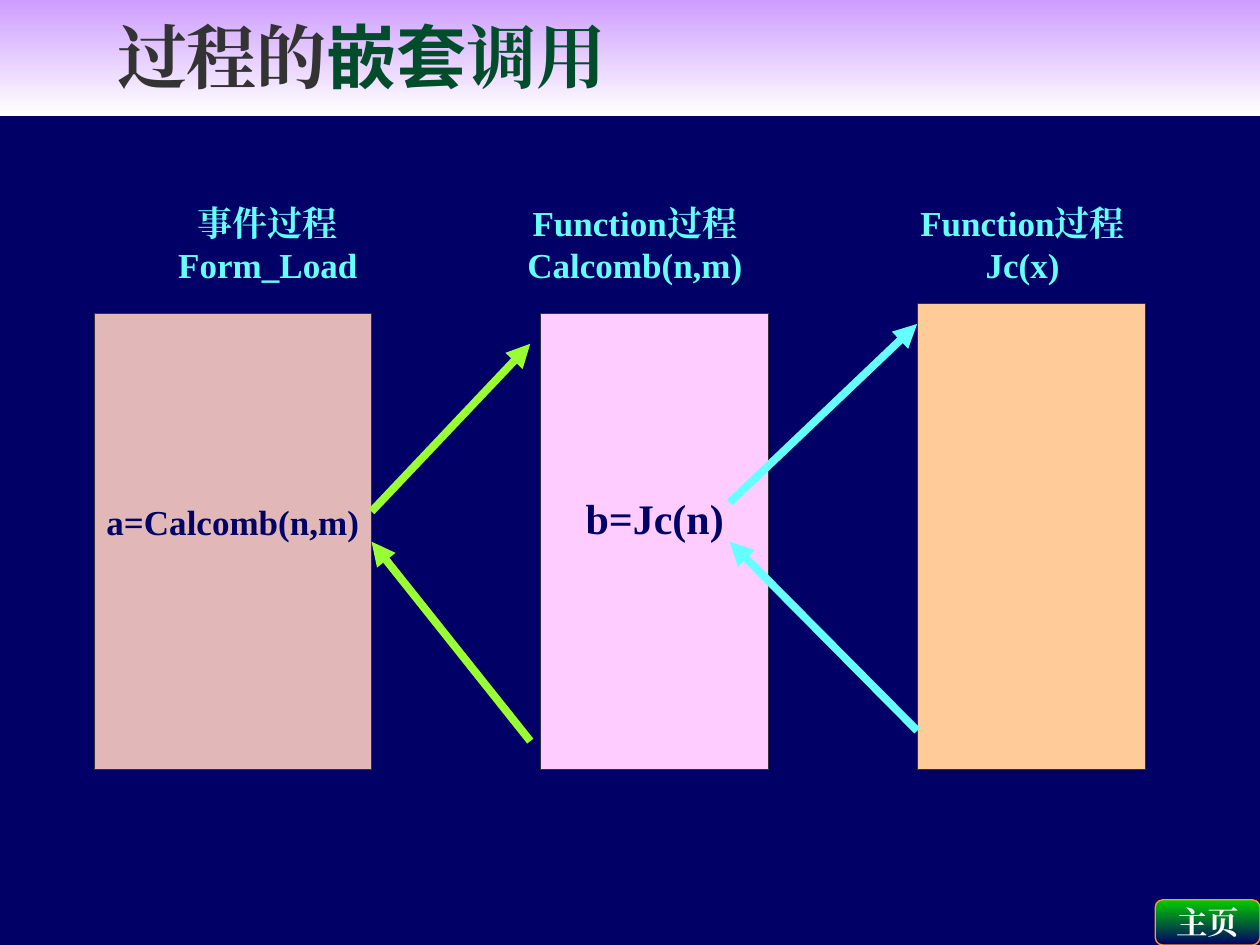
from pptx import Presentation
from pptx.dml.color import RGBColor
from pptx.enum.shapes import MSO_CONNECTOR, MSO_SHAPE
from pptx.enum.text import MSO_ANCHOR, MSO_AUTO_SIZE, PP_ALIGN
from pptx.oxml.ns import qn
from pptx.util import Cm, Pt
from lxml.etree import SubElement

NAVY = RGBColor(0x00, 0x00, 0x66)
WHITE = RGBColor(0xFF, 0xFF, 0xFF)
LILAC = RGBColor(0xCC, 0x99, 0xFF)
GREY = RGBColor(0x33, 0x33, 0x33)
FOREST = RGBColor(0x00, 0x4C, 0x2B)
GREEN = RGBColor(0x00, 0xCC, 0x00)
ORANGE = RGBColor(0xFF, 0x99, 0x33)
ROSE = RGBColor(0xE1, 0xB7, 0xB7)
PINK = RGBColor(0xFF, 0xCC, 0xFF)
PEACH = RGBColor(0xFF, 0xCC, 0x99)
CYAN = RGBColor(0x66, 0xFF, 0xFF)
LIME = RGBColor(0x99, 0xFF, 0x33)
SERIF = "Times New Roman"
SANS = "Noto Sans CJK JP"


class Deck:
    """Holds the style and the current slide."""

    def __init__(self, prs):
        self.s = prs.slides.add_slide(prs.slide_layouts[5])
        bg = self.s.background.fill
        bg.solid()
        bg.fore_color.rgb = NAVY

    def gradient(self, sp, *colors):
        sp.fill.gradient()
        sp.fill.gradient_angle = 270
        for stop, color in zip(sp.fill.gradient_stops, colors):
            stop.color.rgb = color

    def run(self, p, text, size, color, font=SERIF):
        r = p.add_run()
        r.text = text
        for name, value in {"size": Pt(size), "bold": True, "name": font}.items():
            setattr(r.font, name, value)
        r.font.color.rgb = color
        SubElement(r.font._element, qn("a:ea"), typeface=font)

    def frame(self, sp, **options):
        tf = sp.text_frame
        values = {"margin_left": Cm(0.25), "margin_right": Cm(0.25),
                  "margin_top": Cm(0.13), "margin_bottom": Cm(0.13),
                  "vertical_anchor": MSO_ANCHOR.MIDDLE, "word_wrap": False,
                  "auto_size": MSO_AUTO_SIZE.NONE}
        for name, value in {**values, **options}.items():
            setattr(tf, name, value)
        return tf

    def title(self, box, runs, indent):
        sp = self.s.shapes.title
        for name, value in zip(("left", "top", "width", "height"), box):
            setattr(sp, name, Cm(value))
        self.gradient(sp, LILAC, WHITE)
        tf = self.frame(sp, word_wrap=True, margin_left=Cm(indent))
        p = tf.paragraphs[0]
        p.alignment = PP_ALIGN.LEFT
        for text, color, font in runs:
            self.run(p, text, 40, color, font)

    def box(self, box, line, fill=None, lines=(), size=20, color=NAVY,
            kind=MSO_SHAPE.RECTANGLE, **options):
        sp = self.s.shapes.add_shape(kind, *map(Cm, box))
        sp.shadow.inherit = False
        sp.line.color.rgb = line
        sp.line.width = Pt(0.75)
        if fill is None:
            sp.fill.background()
        else:
            sp.fill.solid()
            sp.fill.fore_color.rgb = fill
        tf = self.frame(sp, **options)
        for i, text in enumerate(lines):
            p = tf.add_paragraph() if i else tf.paragraphs[0]
            p.alignment = PP_ALIGN.CENTER
            self.run(p, text, size, color)
        return sp

    def label(self, left, width, lines):
        self.box((left, 3.94, width, 1.96), NAVY, lines=lines, color=CYAN,
                 word_wrap=True, vertical_anchor=MSO_ANCHOR.TOP)

    def arrow(self, start, end, color):
        c = self.s.shapes.add_connector(MSO_CONNECTOR.STRAIGHT,
                                        *map(Cm, start + end))
        c.line.color.rgb = color
        c.line.width = Pt(4.5)
        SubElement(c.line._get_or_add_ln(), qn("a:tailEnd"), type="triangle")
        SubElement(c._element.spPr, qn("a:effectLst"))


def main():
    prs = Presentation()
    prs.slide_width, prs.slide_height = Cm(25.4), Cm(19.05)
    deck = Deck(prs)

    # Title band
    deck.title((0, -0.08, 25.4, 2.41),
               [("过程的", GREY, SERIF), ("嵌套", FOREST, SANS),
                ("调用", FOREST, SERIF)], indent=2.36)

    # Home button
    button = deck.box((23.29, 18.14, 2.11, 0.91), ORANGE, lines=["主页"],
                      size=18, color=WHITE, kind=MSO_SHAPE.ROUNDED_RECTANGLE)
    deck.gradient(button, GREEN, NAVY)

    # Procedure blocks, with the calls raised above the middle
    deck.box((1.9, 6.32, 5.59, 9.2), GREY, ROSE, ["a=Calcomb(n,m)"],
             margin_bottom=Cm(0.94))
    deck.box((10.9, 6.32, 4.6, 9.2), GREY, PINK, ["b=Jc(n)"], size=24,
             margin_bottom=Cm(1.1))
    deck.box((18.49, 6.12, 4.6, 9.4), GREY, PEACH)

    # Headings over the blocks
    deck.label(3.1, 4.6, ["事件过程", "Form_Load"])
    deck.label(10.11, 5.38, ["Function过程", "Calcomb(n,m)"])
    deck.label(17.91, 5.41, ["Function过程", "Jc(x)"])

    # Calls and returns
    for start, end, color in [
        ((7.49, 10.31), (10.69, 6.93), LIME),
        ((14.71, 10.13), (18.49, 6.53), CYAN),
        ((18.49, 14.73), (14.71, 10.92), CYAN),
        ((10.69, 14.94), (7.49, 10.92), LIME),
    ]:
        deck.arrow(start, end, color)

    prs.save("out.pptx")


if __name__ == "__main__":
    main()
